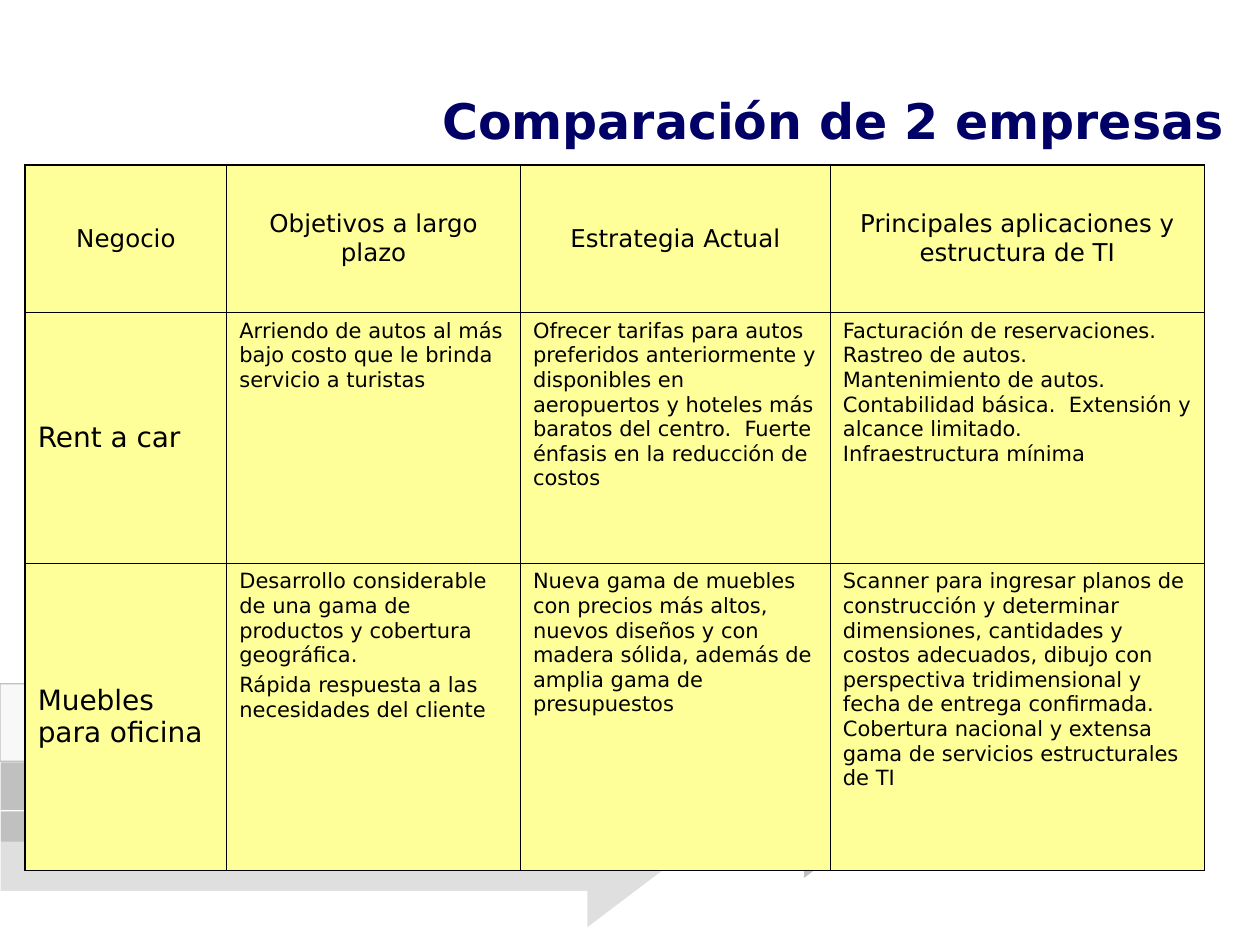
"""Builds a slide that compares two companies in a table over grey arrows."""
from lxml.etree import SubElement
from pptx import Presentation
from pptx.dml.color import RGBColor
from pptx.enum.shapes import MSO_SHAPE as Shape
from pptx.enum.text import MSO_ANCHOR as Anchor, PP_ALIGN as Align
from pptx.oxml.ns import qn
from pptx.util import Pt

HEADINGS = [
    "Negocio",
    "Objetivos a largo plazo",
    "Estrategia Actual",
    "Principales aplicaciones y estructura de TI",
]
COMPANIES = [
    [
        "Rent a car",
        "Arriendo de autos al más bajo costo que le brinda servicio a turistas",
        "Ofrecer tarifas para autos preferidos anteriormente y disponibles en "
        "aeropuertos y hoteles más baratos del centro.  Fuerte énfasis en la "
        "reducción de costos",
        "Facturación de reservaciones.  Rastreo de autos.  Mantenimiento de autos.  "
        "Contabilidad básica.  Extensión y alcance limitado.\vInfraestructura mínima",
    ],
    [
        "Muebles para oficina",
        "Desarrollo considerable de una gama de productos y cobertura geográfica.\n"
        "Rápida respuesta a las necesidades del cliente",
        "Nueva gama de muebles con precios más altos, nuevos diseños y con madera "
        "sólida, además de amplia gama de presupuestos",
        "Scanner para ingresar planos de construcción y determinar dimensiones, "
        "cantidades y costos adecuados, dibujo con perspectiva tridimensional y fecha "
        "de entrega confirmada.  Cobertura nacional y extensa gama de servicios "
        "estructurales de TI",
    ],
]
COLUMN_WIDTHS = [115.2, 167.8, 177.1, 213.8]
ROW_HEIGHTS = [84.2, 143.3, 175.7]
ARROWS = [
    (0, 414, 518.4, 0.52, 0.67, "C0C0C0", "FFFFFF", None),
    (0, 442.1, 393.8, 0.52, 0.66, "C0C0C0", "FFFFFF", 50),
    (0, 368.6, 235.4, 0.5, 0.67, "F8F8F8", "C0C0C0", None),
]


def color(value):
    return RGBColor.from_string(value)


def apply(target, formats):
    for name, value in formats.items():
        setattr(target, name, value)


class SlideBuilder:
    """Holds the shared style and the current slide."""

    font_name = "DejaVu Sans"
    text_color = "000000"
    title_color = "000066"
    cell_color = "FFFF99"
    arrow_height = 88.6
    outer_border = 1.08
    inner_border = 0.45
    heading = {"size": 14, "align": Align.CENTER, "anchor": Anchor.MIDDLE}
    company = {"size": 16, "align": Align.LEFT, "anchor": Anchor.MIDDLE}
    detail = {"size": 12, "align": Align.LEFT, "anchor": Anchor.TOP}

    def __init__(self, presentation):
        self.slide = presentation.slides.add_slide(presentation.slide_layouts[5])

    def fill_text(self, frame, text, size, align, text_color, bold=False):
        frame.text = text
        for index, paragraph in enumerate(frame.paragraphs):
            apply(paragraph, {
                "alignment": align,
                "space_before": Pt(size / 4 if index else 0),
            })
            apply(paragraph.font, {
                "name": self.font_name, "size": Pt(size), "bold": bold,
            })
            paragraph.font.color.rgb = color(text_color)

    def title(self, text, left, top, width, height):
        shape = self.slide.shapes.title
        apply(shape, {
            "left": Pt(left), "top": Pt(top),
            "width": Pt(width), "height": Pt(height),
        })
        apply(shape.text_frame, {
            "vertical_anchor": Anchor.MIDDLE, "word_wrap": True,
        })
        self.fill_text(shape.text_frame, text, 28, Align.RIGHT, self.title_color, True)

    def arrow(self, left, top, width, shaft, head, fill, line, opacity):
        shape = self.slide.shapes.add_shape(
            Shape.RIGHT_ARROW, Pt(left), Pt(top), Pt(width), Pt(self.arrow_height))
        shape.shadow.inherit = False
        shape.adjustments[0] = shaft
        shape.adjustments[1] = head
        shape.fill.solid()
        shape.fill.fore_color.rgb = color(fill)
        shape.line.color.rgb = color(line)
        shape.line.width = Pt(0.75)
        if opacity:
            fill_color = shape.element.spPr.find(qn("a:solidFill"))[0]
            SubElement(fill_color, qn("a:alpha"), val=str(opacity * 1000))

    def borders(self, cell, outer_sides):
        properties = cell._tc.get_or_add_tcPr()
        for side in "LRTB":
            width = self.outer_border if side in outer_sides else self.inner_border
            line = SubElement(properties, qn(f"a:ln{side}"), w=str(Pt(width)))
            fill = SubElement(line, qn("a:solidFill"))
            SubElement(fill, qn("a:srgbClr"), val=self.text_color)

    def cell(self, cell, text, style, outer_sides):
        self.borders(cell, outer_sides)
        cell.fill.solid()
        cell.fill.fore_color.rgb = color(self.cell_color)
        cell.vertical_anchor = style["anchor"]
        self.fill_text(
            cell.text_frame, text, style["size"], style["align"], self.text_color)

    def table(self, rows, left, top, widths, heights):
        table = self.slide.shapes.add_table(
            len(heights), len(widths), Pt(left), Pt(top),
            Pt(sum(widths)), Pt(sum(heights))).table
        for column, width in zip(table.columns, widths):
            column.width = Pt(width)
        for row, height in zip(table.rows, heights):
            row.height = Pt(height)
        last_row, last_column = len(heights) - 1, len(widths) - 1
        for r, texts in enumerate(rows):
            for c, text in enumerate(texts):
                style = self.heading if r == 0 else self.company if c == 0 else self.detail
                edges = {"L": c == 0, "R": c == last_column,
                         "T": r == 0, "B": r == last_row}
                outer_sides = [side for side, is_outer in edges.items() if is_outer]
                self.cell(table.cell(r, c), text, style, outer_sides)


def main():
    presentation = Presentation()
    apply(presentation, {"slide_width": Pt(720), "slide_height": Pt(540)})
    builder = SlideBuilder(presentation)
    for arrow in ARROWS:
        builder.arrow(*arrow)
    builder.title("Comparación de 2 empresas", 190.1, 37.4, 516.2, 62.6)
    builder.table([HEADINGS, *COMPANIES], 14.4, 94.3, COLUMN_WIDTHS, ROW_HEIGHTS)
    presentation.save("out.pptx")


if __name__ == "__main__":
    main()
